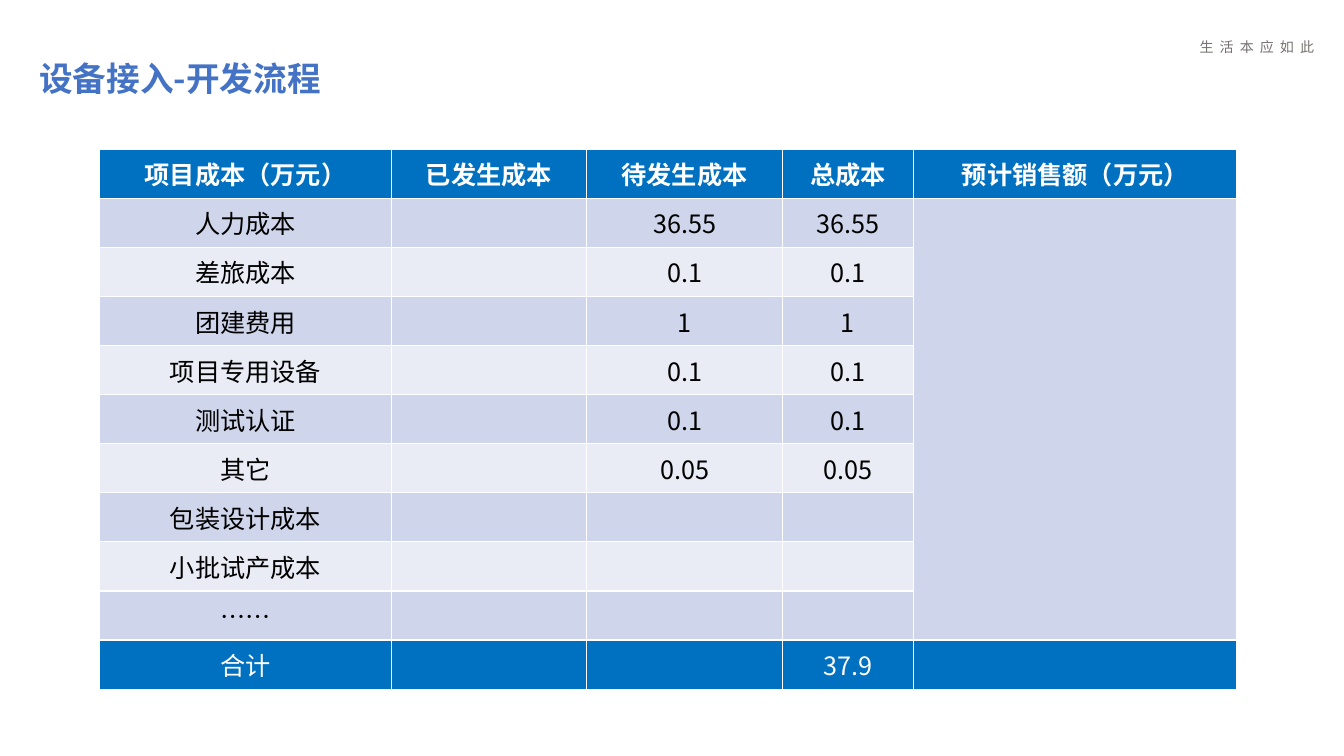
"""Build the project cost table slide."""
import lxml.etree
import pptx
import pptx.dml.color
import pptx.enum.text
import pptx.oxml.ns
import pptx.util

Inches = pptx.util.Inches
FONT = "Noto Sans CJK SC"
COLORS = {
    "title": "4472C4",
    "tagline": "767171",
    "accent": "0070C0",
    "odd": "CFD5EA",
    "even": "E9EBF5",
    "light": "FFFFFF",
    "dark": "000000",
}
TITLE = "设备接入-开发流程"
TAGLINE = "生活本应如此"
ROWS = [
    ("项目成本（万元）", "已发生成本", "待发生成本", "总成本", "预计销售额（万元）"),
    ("人力成本", "", "36.55", "36.55", ""),
    ("差旅成本", "", "0.1", "0.1", ""),
    ("团建费用", "", "1", "1", ""),
    ("项目专用设备", "", "0.1", "0.1", ""),
    ("测试认证", "", "0.1", "0.1", ""),
    ("其它", "", "0.05", "0.05", ""),
    ("包装设计成本", "", "", "", ""),
    ("小批试产成本", "", "", "", ""),
    ("……", "", "", "", ""),
    ("合计", "", "", "37.9", ""),
]
COLUMN_WIDTHS = [2.89, 1.94, 1.94, 1.3, 3.21]
TABLE_LEFT, TABLE_TOP, TABLE_HEIGHT = 0.99, 1.48, 5.36


def rgb(name):
    """Return the named colour."""
    return pptx.dml.color.RGBColor.from_string(COLORS[name])


def style(p, size, color, bold=False, spacing=0):
    """Set the font of a paragraph for Latin and East Asian text."""
    p.font.name = FONT
    p.font.size = pptx.util.Pt(size)
    p.font.bold = bold
    p.font.color.rgb = rgb(color)
    props = p._p.pPr.find(pptx.oxml.ns.qn("a:defRPr"))
    lxml.etree.SubElement(props, pptx.oxml.ns.qn("a:ea"), typeface=FONT)
    if spacing:
        props.set("spc", str(int(spacing * 100)))


def add_heading(slide):
    """Fill the title and add the tagline in the corner."""
    sp = slide.shapes.title
    sp.left, sp.top, sp.width, sp.height = map(Inches, (0.29, 0.56, 10.26, 0.47))
    tf = sp.text_frame
    tf.text = TITLE
    tf.auto_size = pptx.enum.text.MSO_AUTO_SIZE.NONE
    tf.vertical_anchor = pptx.enum.text.MSO_ANCHOR.MIDDLE
    p = tf.paragraphs[0]
    p.alignment = pptx.enum.text.PP_ALIGN.LEFT
    p.line_spacing = 0.9
    style(p, 24, "title", bold=True)

    sp = slide.shapes.add_textbox(*map(Inches, (11.8, 0.33, 1.73, 0.47)))
    tf = sp.text_frame
    tf.word_wrap = True
    tf.text = TAGLINE
    style(tf.paragraphs[0], 10, "tagline", spacing=4.4)


def add_cost_table(slide):
    """Add the cost table with its header, banded rows and total."""
    last = len(ROWS) - 1
    box = map(Inches, (TABLE_LEFT, TABLE_TOP, sum(COLUMN_WIDTHS), TABLE_HEIGHT))
    table = slide.shapes.add_table(len(ROWS), len(COLUMN_WIDTHS), *box).table
    for column, width in zip(table.columns, COLUMN_WIDTHS):
        column.width = Inches(width)
    for i, values in enumerate(ROWS):
        table.rows[i].height = Inches(TABLE_HEIGHT / len(ROWS))
        edge = i in (0, last)
        fill = "accent" if edge else "odd" if i % 2 else "even"
        for j, value in enumerate(values):
            cell = table.cell(i, j)
            cell.fill.solid()
            cell.fill.fore_color.rgb = rgb(fill)
            cell.vertical_anchor = pptx.enum.text.MSO_ANCHOR.MIDDLE
            cell.text = value
            p = cell.text_frame.paragraphs[0]
            p.alignment = pptx.enum.text.PP_ALIGN.CENTER
            style(p, 18, "light" if edge else "dark", bold=i == 0)
    sales = len(COLUMN_WIDTHS) - 1
    table.cell(1, sales).merge(table.cell(last - 1, sales))


def main():
    """Build and save the slide."""
    prs = pptx.Presentation()
    prs.slide_width, prs.slide_height = Inches(13.33), Inches(7.5)
    slide = prs.slides.add_slide(prs.slide_layouts[5])
    add_heading(slide)
    add_cost_table(slide)
    prs.save("out.pptx")


if __name__ == "__main__":
    main()
